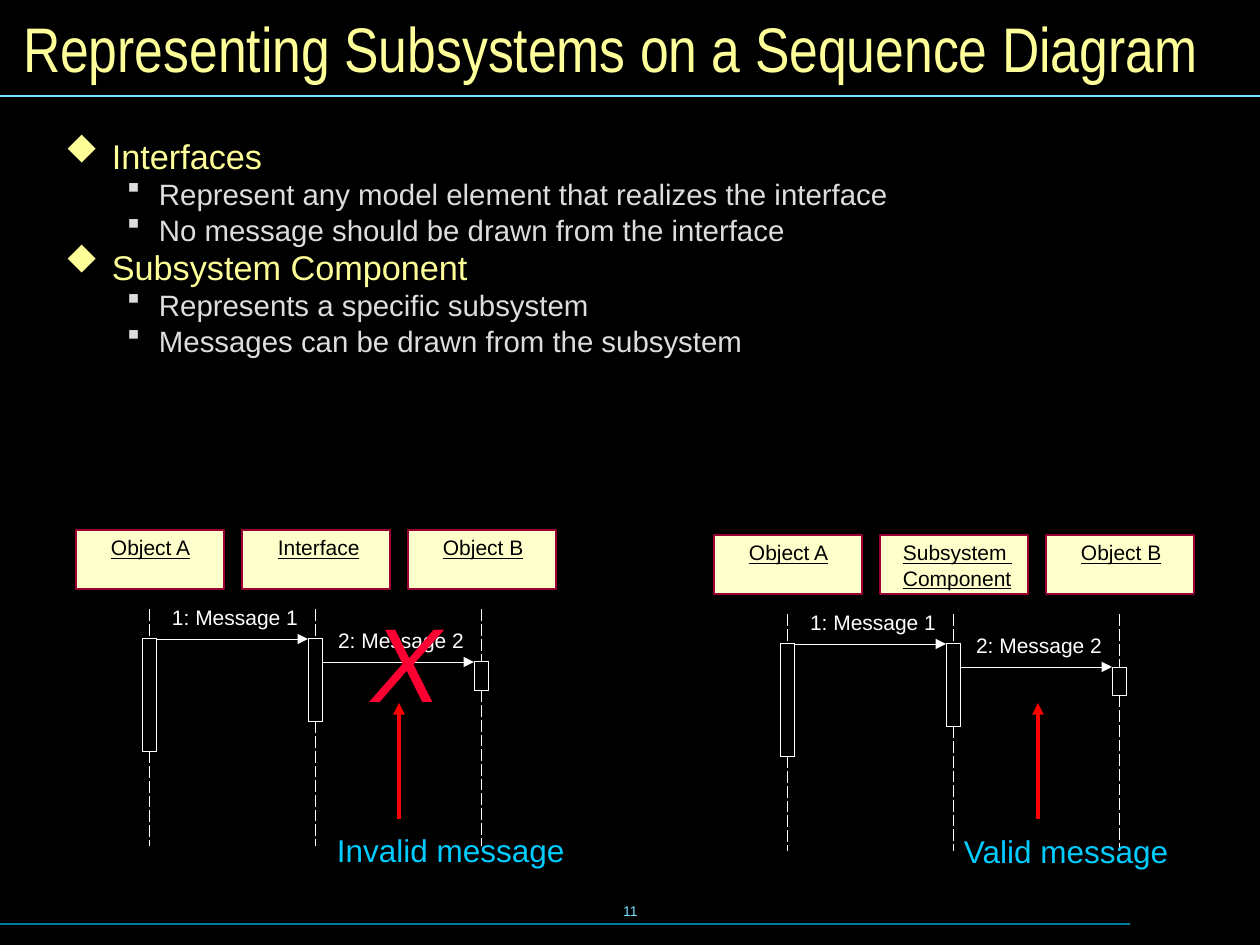
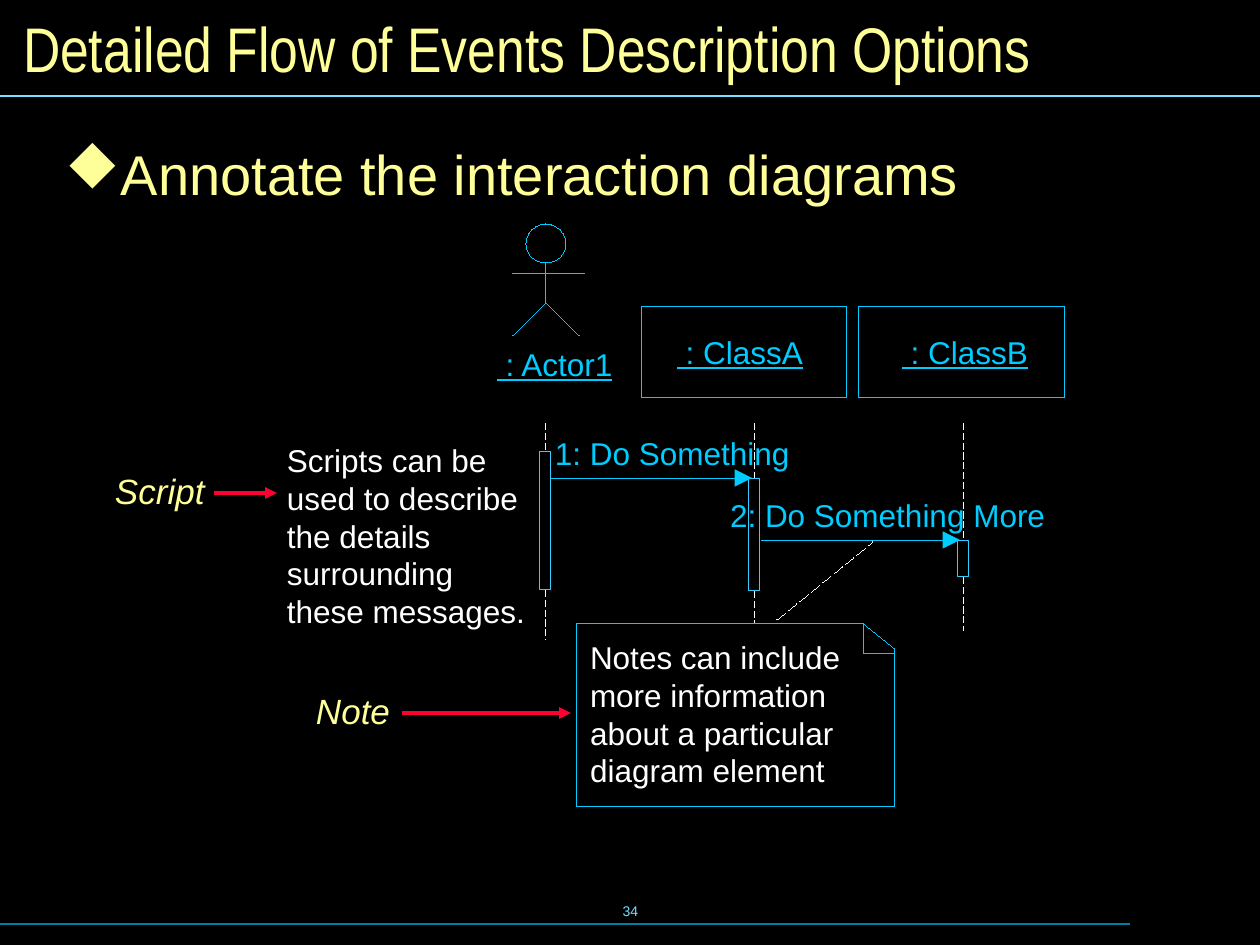
import lxml.etree
import pptx
import pptx.dml.color
import pptx.enum.dml
import pptx.enum.shapes
import pptx.enum.text
import pptx.oxml.ns
import pptx.util

PX = 914400 / 126
BLACK, WHITE, YELLOW, SILVER = "000000", "FFFFFF", "FFFF99", "DDDDDD"
CREAM, MAROON, RED, CRIMSON = "FFFFCC", "990033", "FF0000", "FF0033"
CYAN, SKY, PALE, TEAL = "00CCFF", "33CCFF", "73E1FF", "007E9F"
RECT = pptx.enum.shapes.MSO_SHAPE.RECTANGLE
OVAL = pptx.enum.shapes.MSO_SHAPE.OVAL
CENTER = pptx.enum.text.PP_ALIGN.CENTER
MIDDLE = pptx.enum.text.MSO_ANCHOR.MIDDLE


def px(n):
    return pptx.util.Emu(round(n * PX))


def rgb(value):
    return pptx.dml.color.RGBColor.from_string(value)


def add_xml(parent, tag, **attrs):
    return lxml.etree.SubElement(parent, pptx.oxml.ns.qn(tag), **attrs)


def write(p, text, size=18, color=WHITE, font="Arial", italic=None, underline=None, align=None):
    p.alignment = align
    r = p.add_run()
    r.text = text
    r.font.size = pptx.util.Pt(size)
    r.font.name = font
    r.font.italic = italic
    r.font.underline = underline
    r.font.color.rgb = rgb(color)


def stroke(line, color, width):
    line.color.rgb = rgb(color)
    ln = line._get_or_add_ln()
    ln.set("w", str(pptx.util.Pt(width)))
    return ln


class Deck:
    def __init__(self, prs):
        self.prs = prs
        self.s = None

    def slide(self, title, number):
        self.s = self.prs.slides.add_slide(self.prs.slide_layouts[6])
        self.s.background.fill.solid()
        self.s.background.fill.fore_color.rgb = rgb(BLACK)
        self.text(number, 431, 879, 399, 63, inset=(13, 6), anchor=MIDDLE,
                  size=8, color=PALE, align=CENTER)
        self.line(0, 924, 1130, 924, TEAL, 0.75)
        self.line(0, 96, 1260, 96, PALE, 0.75)
        self.text(title, 10, 11, 1240, 73, inset=(13, 6), anchor=MIDDLE,
                  size=36, color=YELLOW, font="Arial Narrow")

    def frame(self, x, y, w, h, inset=(0, 0), anchor=None):
        tf = self.s.shapes.add_textbox(px(x), px(y), px(w), px(h)).text_frame
        tf.margin_left = tf.margin_right = px(inset[0])
        tf.margin_top = tf.margin_bottom = px(inset[1])
        tf.word_wrap = True
        tf.vertical_anchor = anchor
        return tf

    def text(self, text, x, y, w, h, inset=(0, 0), anchor=None, **fmt):
        tf = self.frame(x, y, w, h, inset, anchor)
        for i, part in enumerate(text.split("\n")):
            write(tf.add_paragraph() if i else tf.paragraphs[0], part, **fmt)

    def bullets(self, items, h, levels):
        tf = self.frame(50, 145, 1171, h, (15, 8))
        for i, (level, text) in enumerate(items):
            size, spacing, before = levels[level]
            char, color, left, hang = [("u", YELLOW, 47, 47), ("§", SILVER, 94, 32)][level]
            p = tf.add_paragraph() if i else tf.paragraphs[0]
            p.level = level
            p.line_spacing = spacing
            if i:
                p.space_before = pptx.util.Pt(before)
            pPr = p._p.get_or_add_pPr()
            pPr.set("marL", str(px(left)))
            pPr.set("indent", str(-px(hang)))
            add_xml(add_xml(pPr, "a:buClr"), "a:srgbClr", val=color)
            add_xml(pPr, "a:buFont", typeface="Wingdings", pitchFamily="2", charset="2")
            add_xml(pPr, "a:buChar", char=char)
            write(p, text, size=size, color=color)

    def paint(self, sp, line, width, fill=None):
        sp.shadow.inherit = False
        if fill:
            sp.fill.solid()
            sp.fill.fore_color.rgb = rgb(fill)
        else:
            sp.fill.background()
        stroke(sp.line, line, width)

    def shape(self, kind, x, y, w, h, line, width=0, fill=None):
        sp = self.s.shapes.add_shape(kind, px(x), px(y), px(w), px(h))
        self.paint(sp, line, width, fill)

    def outline(self, points, line, close=False):
        builder = self.s.shapes.build_freeform(*points[0], scale=PX)
        builder.add_line_segments(points[1:], close=close)
        self.paint(builder.convert_to_shape(), line, 0)

    def line(self, x1, y1, x2, y2, color, width=0, dash=False, head=None):
        c = self.s.shapes.add_connector(pptx.enum.shapes.MSO_CONNECTOR.STRAIGHT,
                                        px(x1), px(y1), px(x2), px(y2))
        ln = stroke(c.line, color, width)
        if dash:
            c.line.dash_style = pptx.enum.dml.MSO_LINE.LONG_DASH
        if head:
            add_xml(ln, "a:tailEnd", type="triangle", w=head, len=head)
        add_xml(c._element.spPr, "a:effectLst")

    def lifeline(self, x, top, bar_top, bar_bottom, bottom, bar_width, color, width):
        self.line(x, top, x, bar_top, WHITE, width, dash=True)
        self.shape(RECT, x - bar_width / 2, bar_top, bar_width, bar_bottom - bar_top, color, width)
        self.line(x, bar_bottom, x, bottom, WHITE, width, dash=True)

    def sequence(self, x, y, middle_name, middle_indent):
        names = [("Object A", 35), (middle_name, middle_indent), ("Object B", 35)]
        bars = [(109, 222), (109, 192), (132, 161)]
        for i, ((name, indent), (start, end)) in enumerate(zip(names, bars)):
            left = x + 166 * i
            self.shape(RECT, left, y, 148, 59, MAROON, 1, CREAM)
            self.text(name, left + indent, y + 5, 140, 25, size=12, color=BLACK, underline=True)
            self.lifeline(left + 74, y + 80, y + start, y + end, y + 316, 14, WHITE, 0)
        for i, dy in enumerate((109, 132)):
            start = x + 81 + 166 * i
            self.line(start, y + dy, start + 151, y + dy, WHITE, head="med")
            self.text(f"{i + 1}: Message {i + 1}", start + 15, y + dy - 34, 160, 25, size=12)


def subsystems(deck):
    deck.slide("Representing Subsystems on a Sequence Diagram", "11")
    deck.bullets([
        (0, "Interfaces"),
        (1, "Represent any model element that realizes the interface"),
        (1, "No message should be drawn from the interface"),
        (0, "Subsystem Component"),
        (1, "Represents a specific subsystem"),
        (1, "Messages can be drawn from the subsystem"),
    ], 223, [(19.6, 0.5, 10.5), (16.8, 0.57, 9)])
    deck.sequence(76, 530, "Interface", 36)
    deck.sequence(714, 535, "Subsystem \nComponent", 23)
    deck.text("X", 357, 590, 120, 141, inset=(15, 8), size=60, color=CRIMSON, italic=True)
    for x in (399, 1038):
        deck.line(x, 819, x, 703, RED, 2.25, head="med")
    deck.text("Invalid message", 322, 823, 300, 53, inset=(15, 8), color=CYAN)
    deck.text("Valid message", 949, 824, 280, 53, inset=(15, 8), color=CYAN)


def event_flow(deck):
    deck.slide("Detailed Flow of Events Description Options", "34")
    deck.bullets([(0, "Annotate the interaction diagrams")], 696, [(32, 0.8, 12)])

    deck.shape(OVAL, 526, 224, 40, 39, CYAN)
    deck.line(546, 263, 546, 303, CYAN)
    deck.line(513, 274, 585, 274, CYAN)
    deck.outline([(513, 336), (546, 303), (580, 336)], CYAN)
    deck.text(" : Actor1", 497, 345, 140, 38, color=CYAN, underline=True)
    for name, box_x, name_x in ((" : ClassA", 641, 677), (" : ClassB", 859, 902)):
        deck.shape(RECT, box_x, 306, 206, 92, CYAN)
        deck.text(name, name_x, 333, 150, 38, color=CYAN, underline=True)

    for i, (start, end, bottom) in enumerate([(451, 590, 640), (478, 591, 624), (540, 577, 631)]):
        deck.lifeline(545 + 209 * i, 423, start, end, bottom, 12, SKY, 0.5)
    for text, x1, x2, y, text_x, w in (
            ("1: Do Something", 551, 752, 478, 555, 280),
            ("2: Do Something More", 761, 960, 540, 730, 360)):
        deck.line(x1, y, x2, y, CYAN, head="lg")
        deck.text(text, text_x, y - 44, w, 38, color=CYAN)

    deck.text("Scripts can be used to describe the details surrounding these messages.",
              287, 441, 249, 189)
    deck.outline([(577, 624), (864, 624), (895, 649), (895, 806), (577, 806)], CYAN, close=True)
    deck.outline([(864, 624), (864, 653), (895, 653)], CYAN)
    deck.text("Notes can include more information about a particular diagram element",
              590, 638, 281, 151)
    deck.line(777, 620, 873, 542, WHITE, dash=True)
    for label, x, y, w, x1, x2 in (("Script", 102, 463, 126, 214, 277),
                                   ("Note", 303, 683, 105, 402, 571)):
        deck.text(label, x, y, w, 55, inset=(13, 6), size=20, color=YELLOW, italic=True)
        deck.line(x1, y + 30, x2, y + 30, CRIMSON, 2.25, head="med")


def main():
    prs = pptx.Presentation()
    prs.slide_width, prs.slide_height = px(1260), px(945)
    deck = Deck(prs)
    subsystems(deck)
    event_flow(deck)
    prs.save("out.pptx")


if __name__ == "__main__":
    main()
